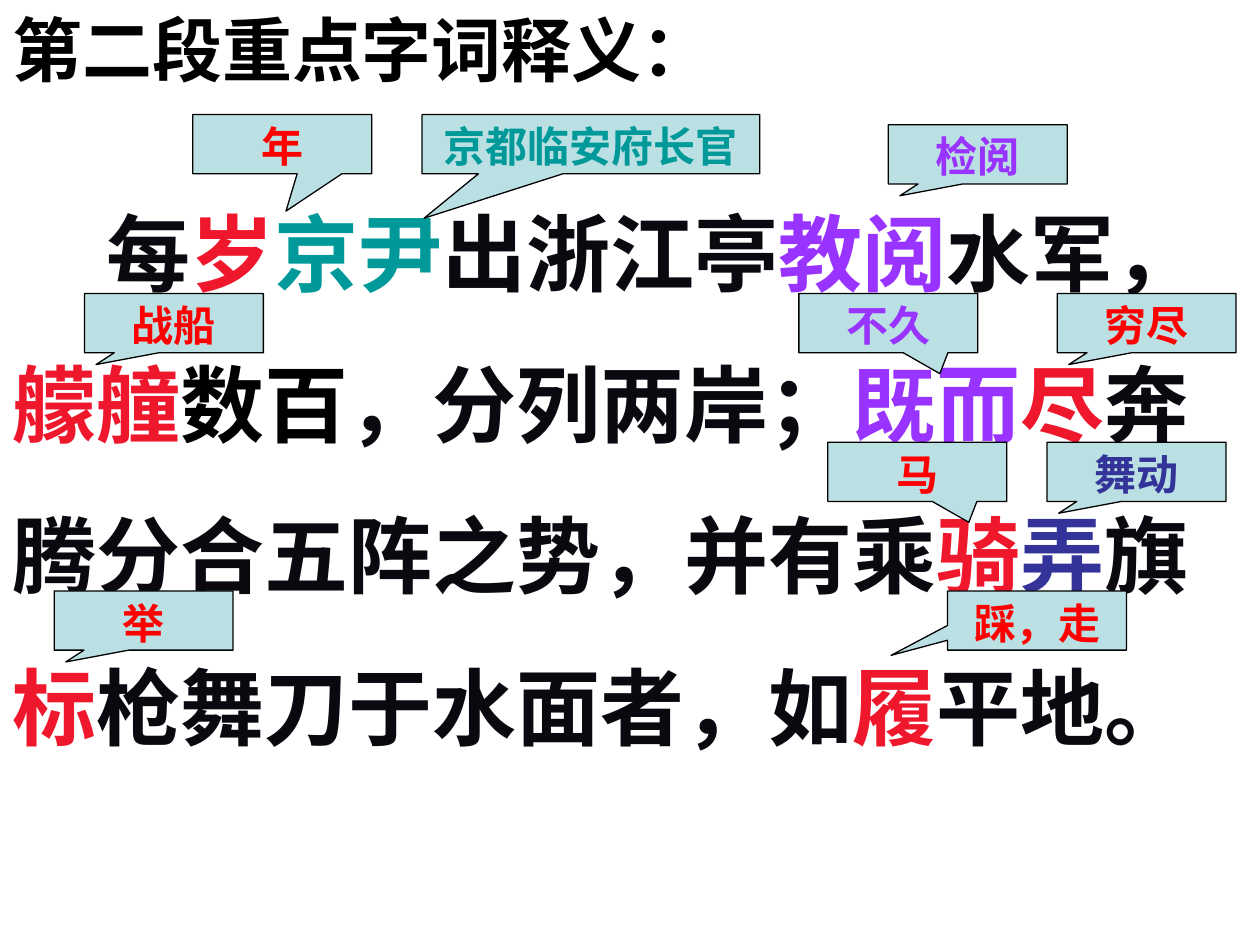
from pptx import Presentation
from pptx.dml.color import RGBColor
from pptx.enum import shapes, text
from pptx.util import Inches, Pt

INK = RGBColor(0x09, 0x09, 0x0F)
BLACK = RGBColor(0, 0, 0)
ROSE = RGBColor(0xEF, 0x17, 0x2C)
RED = RGBColor(0xFF, 0, 0)
TEAL = RGBColor(0, 0x99, 0x99)
VIOLET = RGBColor(0x99, 0x33, 0xFF)
NAVY = RGBColor(0x33, 0x33, 0x99)
PALE = RGBColor(0xBB, 0xE0, 0xE3)

PASSAGE = [
    ("每", INK), ("岁", ROSE), ("京尹", TEAL), ("出浙江亭", INK),
    ("教阅", VIOLET), ("水军，", INK), ("艨艟", ROSE), ("数百", BLACK),
    ("，分列两岸；", INK), ("既而", VIOLET), ("尽", ROSE),
    ("奔腾分合五阵之势，并有乘", INK), ("骑", ROSE), ("弄", NAVY),
    ("旗", INK), ("标", ROSE), ("枪舞刀于水面者，如", INK),
    ("履", ROSE), ("平地。", INK),
]

WIDE, LONG, HIGH = 1.42, 2.68, 0.47
ROWS = [0.91, 2.33, 3.51, 4.69]
LEFT, RIGHT = (-0.435, 0.7), (0.288, 0.853)
NOTES = [
    ("年", RED, 1.53, ROWS[0], WIDE, (0.021, 1.129)),
    ("京都临安府长官", TEAL, 3.35, ROWS[0], LONG, (-0.494, 1.25)),
    ("战船", RED, 0.67, ROWS[1], WIDE, LEFT),
    ("穷尽", RED, 8.39, ROWS[1], WIDE, LEFT),
    ("马", RED, 6.57, ROWS[2], WIDE, RIGHT),
    ("舞动", NAVY, 8.31, ROWS[2], WIDE, LEFT),
    ("举", RED, 0.43, ROWS[3], WIDE, LEFT),
    ("踩，走", RED, 7.52, ROWS[3], WIDE, (-0.816, 0.588)),
    ("检阅", VIOLET, 7.05, 0.99, WIDE, LEFT),
    ("不久", VIOLET, 6.34, ROWS[1], WIDE, RIGHT),
]


def write(frame, runs, size, face, **look):
    """Fill a text frame with one paragraph of coloured bold runs."""
    frame.word_wrap = True
    frame.vertical_anchor = text.MSO_ANCHOR.TOP
    para = frame.paragraphs[0]
    for name, value in look.items():
        setattr(para, name, value)
    for words, color in runs:
        run = para.add_run()
        run.text = words
        run.font.color.rgb = color
        for name, value in {"size": Pt(size), "name": face, "bold": True}.items():
            setattr(run.font, name, value)
    return para


def add_title(slide, box):
    """Place the heading in the box."""
    frame = slide.shapes.add_textbox(*map(Inches, box)).text_frame
    write(frame, [("第二段重点字词释义：", BLACK)], 40, "Arial", space_before=Pt(25))


def add_passage(slide, box):
    """Place the passage in the box with its first line indented."""
    frame = slide.shapes.add_textbox(*map(Inches, box)).text_frame
    para = write(frame, PASSAGE, 48, "Times New Roman", line_spacing=1.5)
    para._p.get_or_add_pPr().set("indent", str(Inches(0.75)))


def add_note(slide, box, words, color, tip):
    """Place a callout in the box with its tip at the given offset."""
    kind = shapes.MSO_SHAPE.RECTANGULAR_CALLOUT
    note = slide.shapes.add_shape(kind, *map(Inches, box))
    note.adjustments[0], note.adjustments[1] = tip
    note.shadow.inherit = False
    note.fill.solid()
    note.fill.fore_color.rgb = PALE
    note.line.color.rgb = BLACK
    note.line.width = Pt(0.75)
    write(note.text_frame, [(words, color)], 24, "Arial",
          alignment=text.PP_ALIGN.CENTER)


def main():
    """Build the slide and save it."""
    deck = Presentation()
    deck.slide_width, deck.slide_height = Inches(10), Inches(7.5)
    slide = deck.slides.add_slide(deck.slide_layouts[6])
    add_passage(slide, (0, 1.15, 10, 4.9))
    add_title(slide, (0, 0, 6.5, 0.77))
    for words, color, x, y, width, tip in NOTES:
        add_note(slide, (x, y, width, HIGH), words, color, tip)
    deck.save("out.pptx")


if __name__ == "__main__":
    main()
